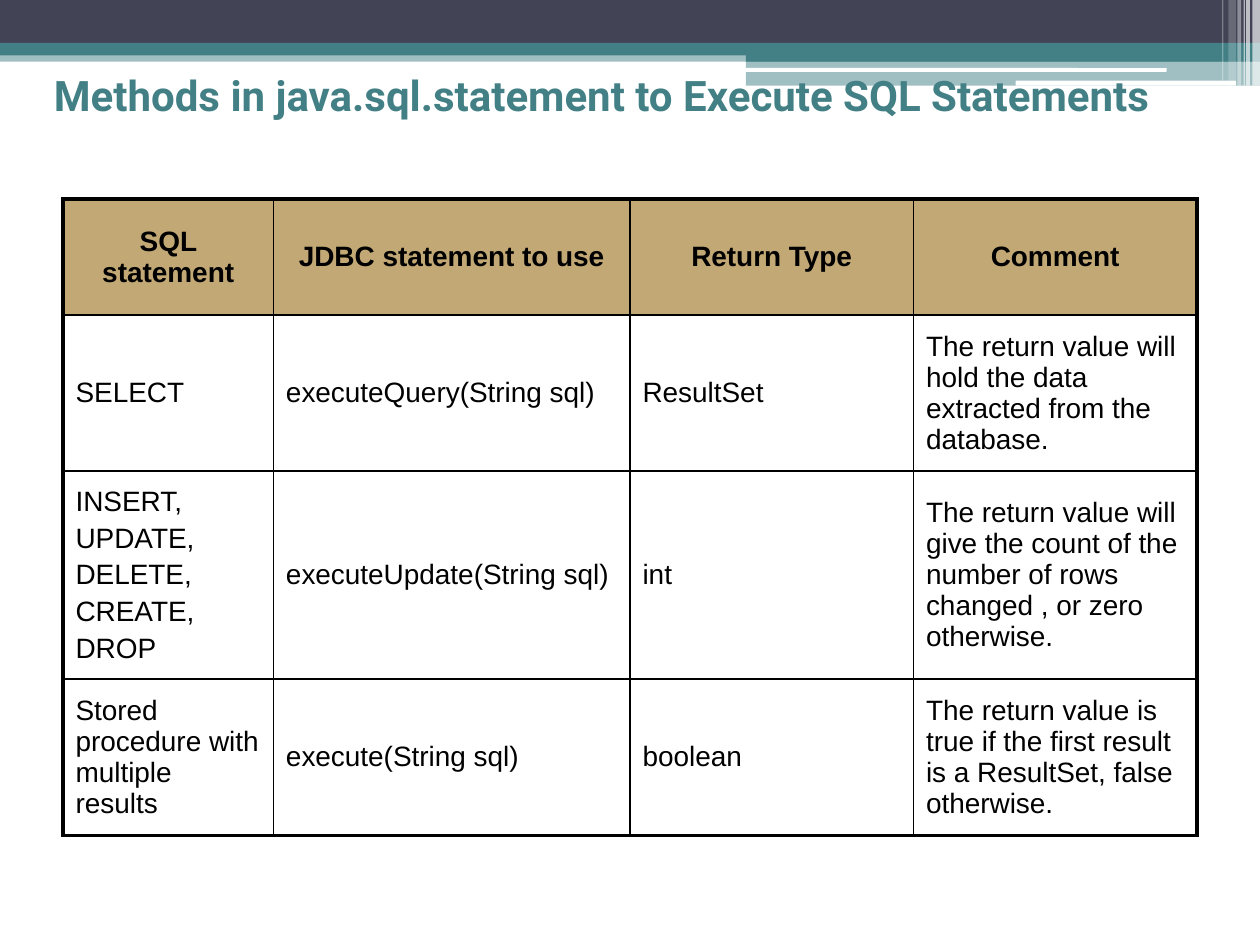
import pptx
import pptx.util
import pptx.dml.color
import pptx.enum.shapes
import pptx.enum.text
import pptx.oxml.ns
import lxml.etree

Inches = pptx.util.Inches
Pt = pptx.util.Pt
RGBColor = pptx.dml.color.RGBColor
Shape = pptx.enum.shapes.MSO_SHAPE
Anchor = pptx.enum.text.MSO_ANCHOR
Align = pptx.enum.text.PP_ALIGN
qn = pptx.oxml.ns.qn

SLATE = RGBColor(0x42, 0x44, 0x56)
TEAL = RGBColor(0x43, 0x80, 0x86)
WHITE = RGBColor(0xFF, 0xFF, 0xFF)
BLACK = RGBColor(0x00, 0x00, 0x00)
TAN = RGBColor(0xC2, 0xA8, 0x74)

BANDS = [
    (0, 0.4, 10, 0.09, TEAL, 50),
    (0, 0, 10, 0.34, SLATE, 100),
    (0, 0.34, 10, 0.1, TEAL, 100),
    (5.92, 0.39, 4.08, 0.1, TEAL, 100),
    (5.92, 0.48, 4.08, 0.2, TEAL, 50),
]
PILLS = [(5.91, 0.54, 3.35, 0.03), (8.06, 0.64, 1.75, 0.04)]
STRIPES = [
    (9.94, 0.06, 0.68, 65),
    (9.89, 0.03, 0.68, 65),
    (9.87, 0.01, 0.68, 60),
    (9.82, 0.03, 0.68, 40),
    (9.75, 0.06, 0.64, 20),
    (9.7, 0.01, 0.64, 30),
]
TITLE = "Methods in java.sql.statement to Execute SQL Statements"
COLUMN_WIDTHS = [1.67, 2.83, 2.25, 2.25]
ROW_HEIGHTS = [0.92, 1.24, 1.65, 1.24]
METHODS = [
    ["SQL statement", "JDBC statement to use", "Return Type", "Comment"],
    ["SELECT", "executeQuery(String sql)", "ResultSet",
     "The return value will hold the data extracted from the database."],
    ["INSERT,\nUPDATE,\nDELETE,\nCREATE,\nDROP", "executeUpdate(String sql)", "int",
     "The return value will give the count of the number of rows changed , or zero otherwise."],
    ["Stored procedure with multiple results", "execute(String sql)", "boolean",
     "The return value is true if the first result is a ResultSet, false otherwise."],
]


class SlideBuilder:
    title_font, title_size = "Roboto", Pt(24)
    table_font, table_size = "Arial", Pt(16)
    paragraph_gap = Pt(3.2)
    outer_line, inner_line = Pt(2.25), Pt(1)

    def __init__(self, slide):
        self.slide = slide

    def bar(self, left, top, width, height, color, opacity=100, kind=Shape.RECTANGLE):
        bar = self.slide.shapes.add_shape(
            kind, Inches(left), Inches(top), Inches(width), Inches(height))
        bar.shadow.inherit = False
        bar.line.fill.background()
        bar.fill.solid()
        bar.fill.fore_color.rgb = color
        if opacity < 100:
            tint = bar.fill._xPr.find(".//" + qn("a:srgbClr"))
            lxml.etree.SubElement(tint, qn("a:alpha"), val=str(opacity * 1000))

    def style(self, paragraph, font, size, color, bold):
        for run in paragraph.runs:
            run.font.name = font
            run.font.size = size
            run.font.color.rgb = color
            run.font.bold = bold

    def title(self, text, left, top, width, height):
        heading = self.slide.shapes.add_textbox(
            Inches(left), Inches(top), Inches(width), Inches(height))
        frame = heading.text_frame
        frame.word_wrap = True
        frame.vertical_anchor = Anchor.TOP
        frame.text = text
        self.style(frame.paragraphs[0], self.title_font, self.title_size, TEAL, True)

    def border(self, cell, side, width):
        properties = cell._tc.get_or_add_tcPr()
        line = lxml.etree.SubElement(properties, qn("a:ln" + side), w=str(int(width)))
        fill = lxml.etree.SubElement(line, qn("a:solidFill"))
        lxml.etree.SubElement(fill, qn("a:srgbClr"), val=str(BLACK))

    def cell(self, cell, text, header, outer_sides):
        cell.text_frame.text = text
        cell.vertical_anchor = Anchor.MIDDLE
        for index, paragraph in enumerate(cell.text_frame.paragraphs):
            paragraph.alignment = Align.CENTER if header else Align.LEFT
            if index:
                paragraph.space_before = self.paragraph_gap
            self.style(paragraph, self.table_font, self.table_size, BLACK, header)
        for side in "LRTB":
            self.border(cell, side, self.outer_line if side in outer_sides else self.inner_line)
        if header:
            cell.fill.solid()
            cell.fill.fore_color.rgb = TAN
        else:
            cell.fill.background()

    def table(self, rows, left, top, widths, heights):
        table = self.slide.shapes.add_table(
            len(rows), len(widths), Inches(left), Inches(top),
            Inches(sum(widths)), Inches(sum(heights))).table
        table.first_row = False
        table.horz_banding = False
        for column, width in zip(table.columns, widths):
            column.width = Inches(width)
        for row, height in zip(table.rows, heights):
            row.height = Inches(height)
        last_row, last_column = len(rows) - 1, len(widths) - 1
        for r, row in enumerate(rows):
            for c, text in enumerate(row):
                edges = {"L": c == 0, "R": c == last_column, "T": r == 0, "B": r == last_row}
                outer_sides = [side for side, outer in edges.items() if outer]
                self.cell(table.cell(r, c), text, r == 0, outer_sides)


def main():
    deck = pptx.Presentation()
    deck.slide_width, deck.slide_height = Inches(10), Inches(7.5)
    builder = SlideBuilder(deck.slides.add_slide(deck.slide_layouts[6]))
    for band in BANDS:
        builder.bar(*band)
    for pill in PILLS:
        builder.bar(*pill, WHITE, kind=Shape.ROUNDED_RECTANGLE)
    for left, width, height, opacity in STRIPES:
        builder.bar(left, 0, width, height, WHITE, opacity)
    builder.title(TITLE, 0.33, 0.5, 9.67, 0.75)
    builder.table(METHODS, 0.5, 1.58, COLUMN_WIDTHS, ROW_HEIGHTS)
    deck.save("out.pptx")


if __name__ == "__main__":
    main()
